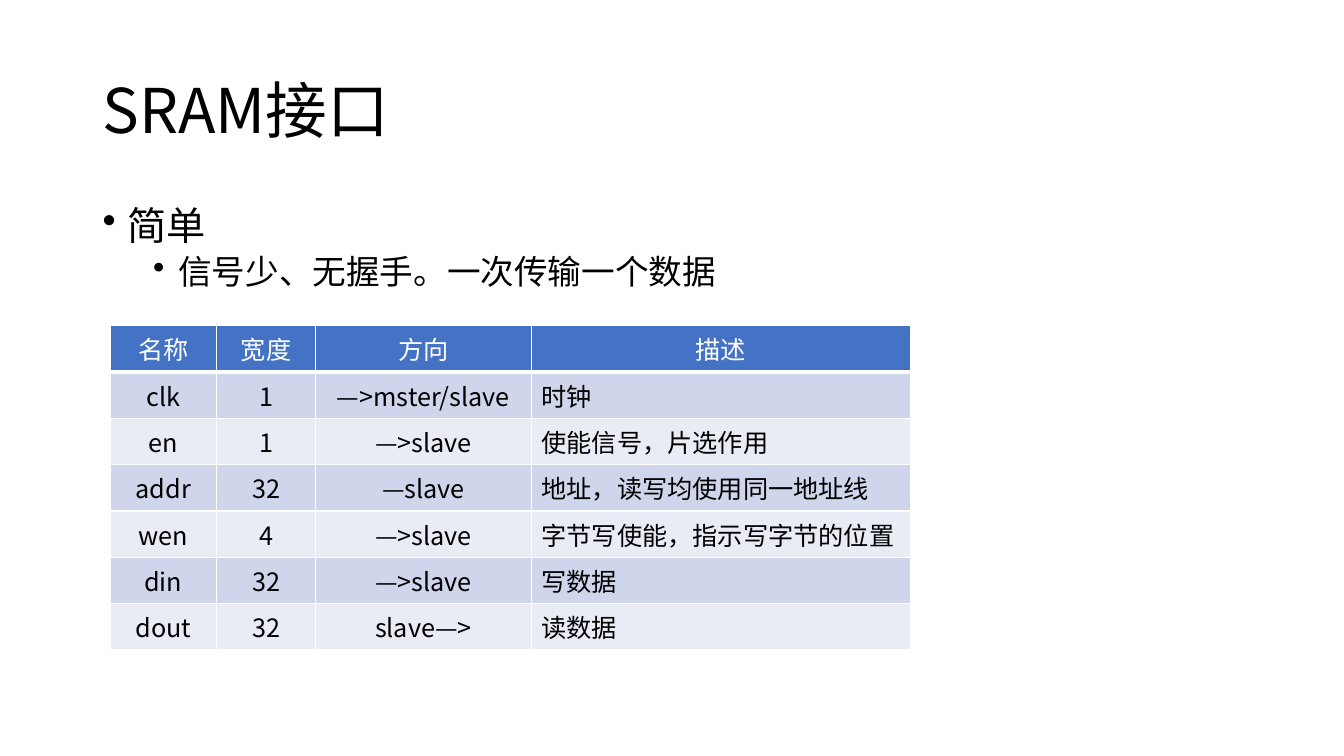
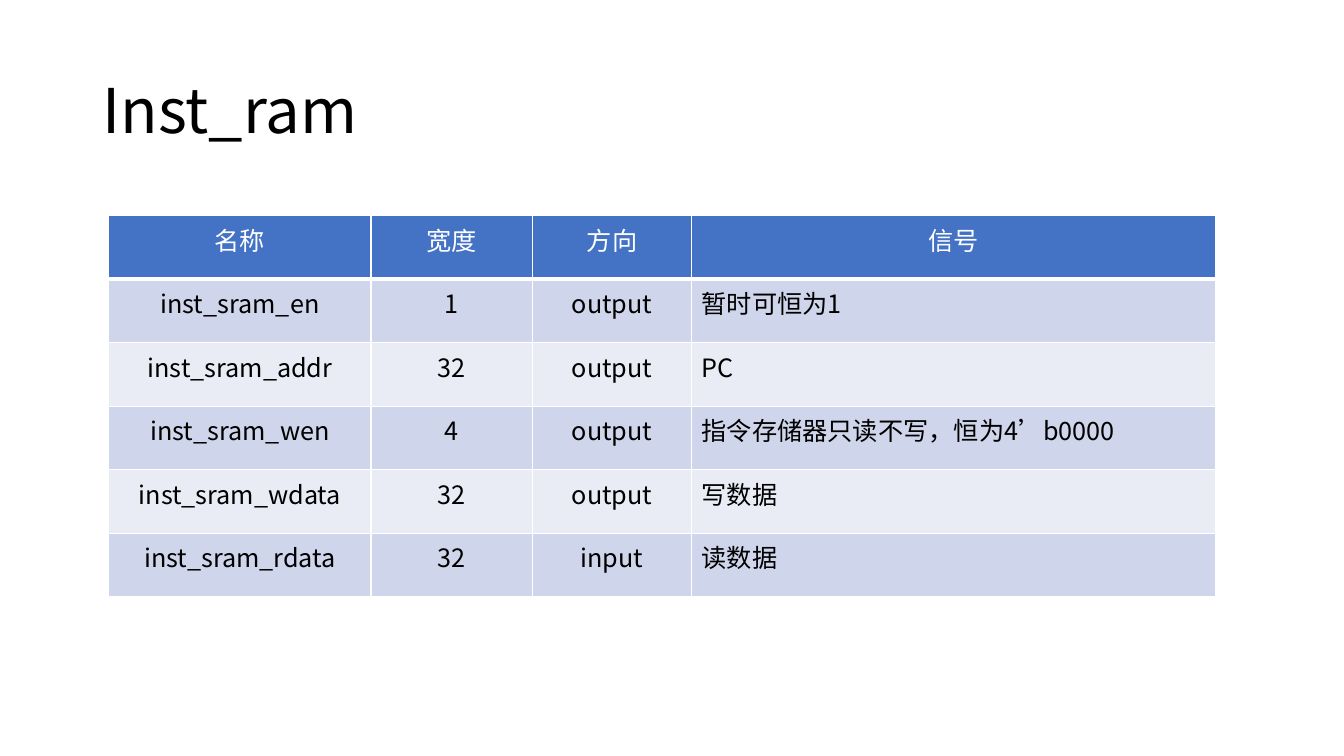
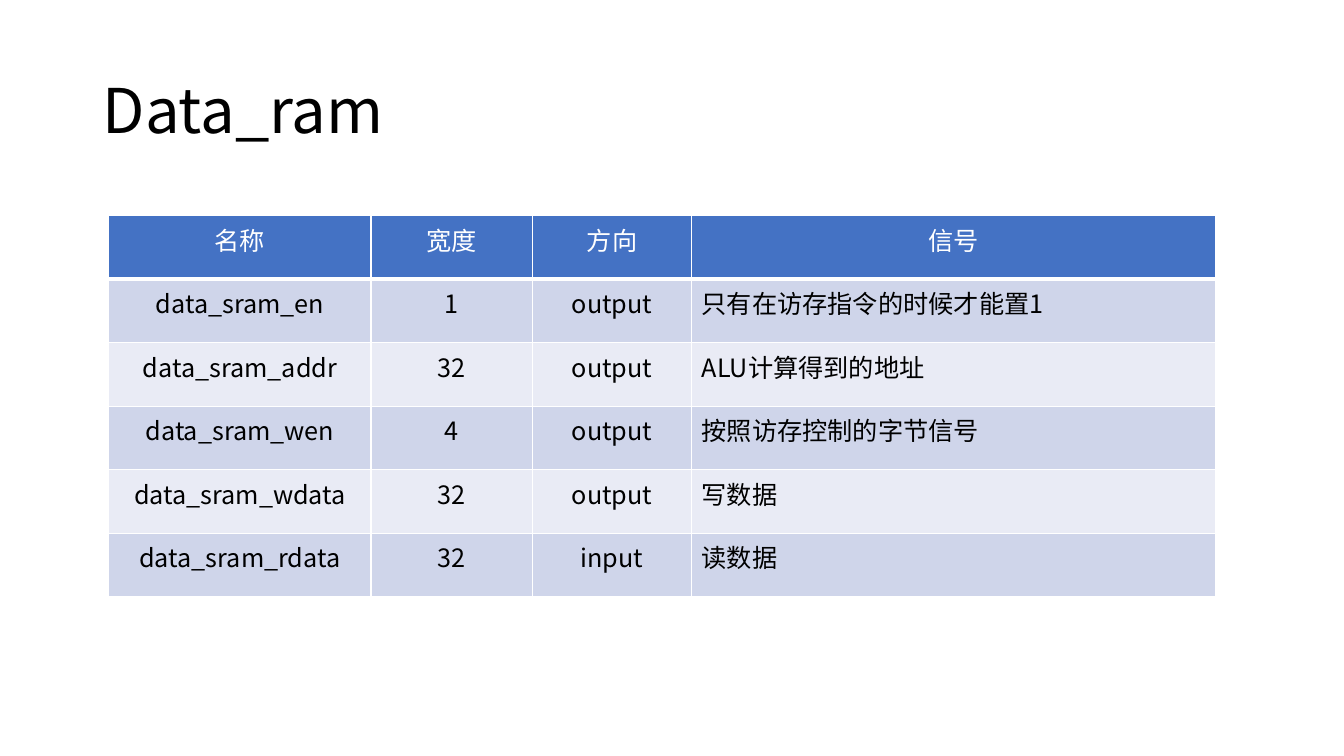
from pptx import Presentation
from pptx.dml.color import RGBColor
from pptx.enum import text
from pptx.oxml import ns
from pptx.util import Inches, Pt
from lxml import etree

FONT = "Noto Sans CJK SC"
COLORS = {
    "ink": "000000",
    "paper": "FFFFFF",
    "header": "4472C4",
    "odd": "CFD5EA",
    "even": "E9EBF5",
}
TITLE_BOX = (0.92, 0.4, 11.5, 1.45)
BODY_BOX = (0.92, 2, 11.5, 4.76)

INTERFACE_COLS = (1.06, 0.98, 2.14, 3.76)
INTERFACE_ROWS = [
    ("名称", "宽度", "方向", "描述"),
    ("clk", "1", "—>mster/slave", "时钟"),
    ("en", "1", "—>slave", "使能信号，片选作用"),
    ("addr", "32", "—slave", "地址，读写均使用同一地址线"),
    ("wen", "4", "—>slave", "字节写使能，指示写字节的位置"),
    ("din", "32", "—>slave", "写数据"),
    ("dout", "32", "slave—>", "读数据"),
]

RAM_COLS = (2.6, 1.6, 1.58, 5.2)
RAM_HEADER = ("名称", "宽度", "方向", "信号")
RAM_PORTS = [
    ("en", "1", "output"),
    ("addr", "32", "output"),
    ("wen", "4", "output"),
    ("wdata", "32", "output"),
    ("rdata", "32", "input"),
]


def rgb(color):
    return RGBColor.from_string(COLORS[color])


def style(paragraph, size, color="ink"):
    """Set the shared typeface for Latin and East Asian text."""
    font = paragraph.font
    font.size, font.name = Pt(size), FONT
    font.color.rgb = rgb(color)
    defaults = paragraph._p.pPr.find(ns.qn("a:defRPr"))
    etree.SubElement(defaults, ns.qn("a:ea")).set("typeface", FONT)


def add_text_frame(slide, box):
    frame = slide.shapes.add_textbox(*map(Inches, box)).text_frame
    frame.word_wrap = True
    return frame


def add_title(slide, title):
    frame = add_text_frame(slide, TITLE_BOX)
    frame.vertical_anchor = text.MSO_ANCHOR.MIDDLE
    heading = frame.paragraphs[0]
    heading.text = title
    heading.line_spacing = 0.9
    style(heading, 44)


def add_bullets(slide, box, points):
    """Write (level, text) points as a bulleted list."""
    frame = add_text_frame(slide, box)
    for index, (level, wording) in enumerate(points):
        point = frame.add_paragraph() if index else frame.paragraphs[0]
        point.text, point.level = wording, level
        props = point._p.get_or_add_pPr()
        props.set("marL", str(Inches(0.25 + 0.5 * level)))
        props.set("indent", str(Inches(-0.25)))
        etree.SubElement(props, ns.qn("a:buChar")).set("char", "•")
        point.line_spacing = 0.9
        point.space_before = Pt(5 if level else 10)
        style(point, 24 if level else 28)


def add_borders(cell, header):
    props = cell._tc.get_or_add_tcPr()
    for index, side in enumerate(("lnL", "lnR", "lnT", "lnB")):
        line = etree.Element(ns.qn("a:" + side))
        line.set("w", str(Pt(3 if header and side == "lnB" else 1)))
        fill = etree.SubElement(line, ns.qn("a:solidFill"))
        etree.SubElement(fill, ns.qn("a:srgbClr")).set("val", COLORS["paper"])
        props.insert(index, line)


def add_signal_table(slide, left, top, widths, row_height, rows):
    """Draw a header row and banded signal rows; the last column is prose."""
    table = slide.shapes.add_table(
        len(rows), len(widths), Inches(left), Inches(top),
        Inches(sum(widths)), Inches(row_height * len(rows))).table
    for column, width in zip(table.columns, widths):
        column.width = Inches(width)
    for r, values in enumerate(rows):
        header = r == 0
        band = "header" if header else "odd" if r % 2 else "even"
        for c, value in enumerate(values):
            cell = table.cell(r, c)
            cell.fill.solid()
            cell.fill.fore_color.rgb = rgb(band)
            add_borders(cell, header)
            label = cell.text_frame.paragraphs[0]
            label.text = value
            prose = c == len(widths) - 1 and not header
            label.alignment = text.PP_ALIGN.LEFT if prose else text.PP_ALIGN.CENTER
            style(label, 18, "paper" if header else "ink")


def new_slide(deck, title):
    slide = deck.slides.add_slide(deck.slide_layouts[6])
    add_title(slide, title)
    return slide


def interface_slide(deck):
    slide = new_slide(deck, "SRAM接口")
    add_bullets(slide, BODY_BOX, [
        (0, "简单"),
        (1, "信号少、无握手。一次传输一个数据"),
    ])
    add_signal_table(slide, 1.09, 3.23, INTERFACE_COLS, 0.46, INTERFACE_ROWS)


def ram_slide(deck, title, prefix, notes):
    slide = new_slide(deck, title)
    signals = [(f"{prefix}_sram_{port}", width, direction, note)
               for (port, width, direction), note in zip(RAM_PORTS, notes)]
    add_signal_table(slide, 1.08, 2.14, RAM_COLS, 0.63, [RAM_HEADER] + signals)


def main():
    deck = Presentation()
    deck.slide_width, deck.slide_height = Inches(13.33), Inches(7.5)
    interface_slide(deck)
    ram_slide(deck, "Inst_ram", "inst", [
        "暂时可恒为1", "PC", "指令存储器只读不写，恒为4’b0000", "写数据", "读数据"])
    ram_slide(deck, "Data_ram", "data", [
        "只有在访存指令的时候才能置1", "ALU计算得到的地址",
        "按照访存控制的字节信号", "写数据", "读数据"])
    deck.save("out.pptx")


if __name__ == "__main__":
    main()
